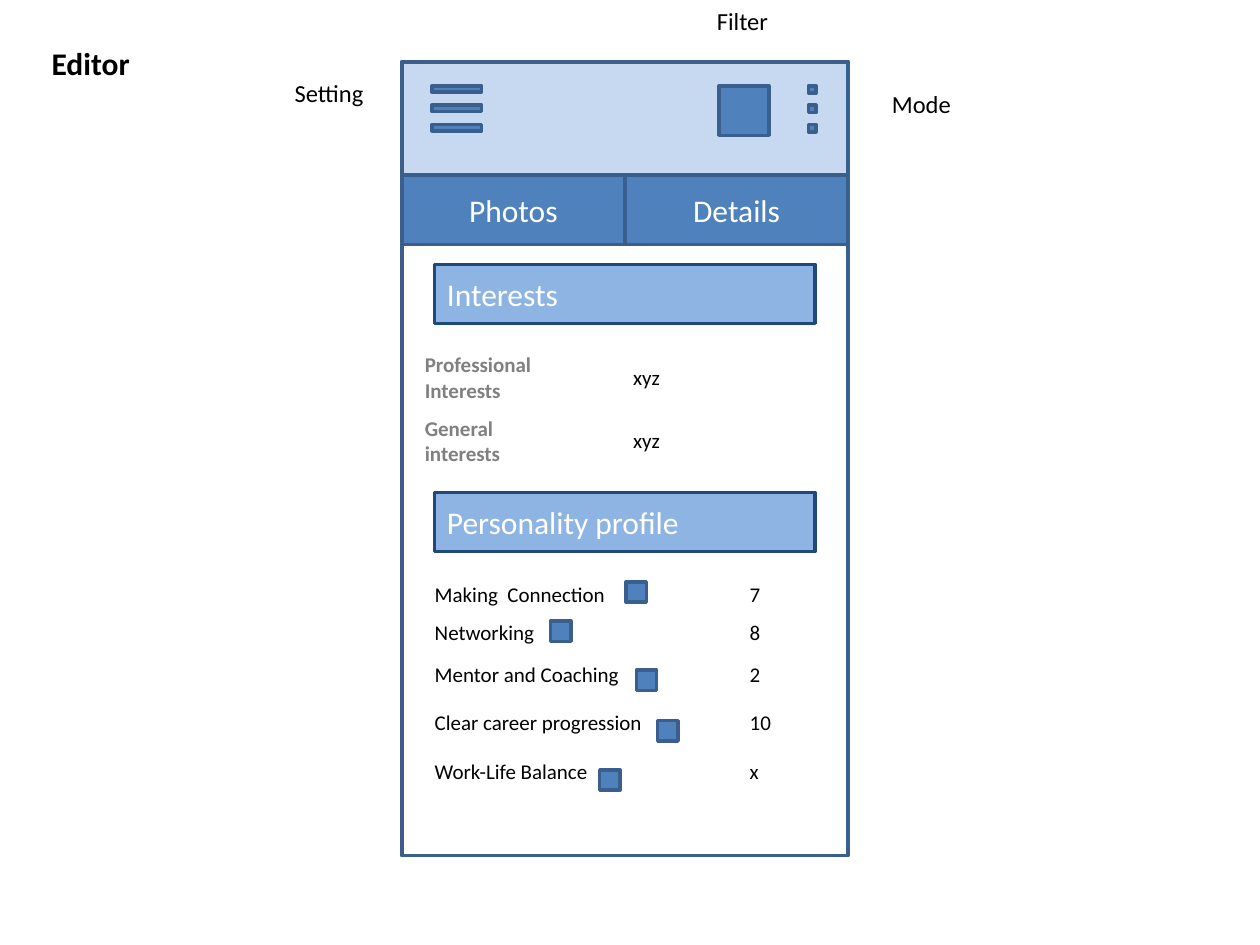
"""Build the profile editor wireframe slide."""
import pptx
import pptx.dml.color
import pptx.enum.shapes
import pptx.enum.text
import pptx.util

Cm = pptx.util.Cm
Pt = pptx.util.Pt
RGBColor = pptx.dml.color.RGBColor
ALIGN = pptx.enum.text.PP_ALIGN
MIDDLE = pptx.enum.text.MSO_ANCHOR.MIDDLE

WHITE = RGBColor(0xFF, 0xFF, 0xFF)
BLACK = RGBColor(0x00, 0x00, 0x00)
GRAY = RGBColor(0x80, 0x80, 0x80)
BLUE = RGBColor(0x4F, 0x81, 0xBD)
EDGE = RGBColor(0x3A, 0x5F, 0x8C)
PALE = RGBColor(0xC6, 0xD9, 0xF1)
SKY = RGBColor(0x8E, 0xB4, 0xE3)
NAVY = RGBColor(0x1F, 0x49, 0x7D)


def write(frame, text, size=12, color=BLACK, bold=False, align=ALIGN.LEFT):
    frame.word_wrap = True
    frame.text = text
    for para in frame.paragraphs:
        para.alignment = align
        font = para.runs[0].font
        font.name = "Calibri"
        font.size = Pt(size)
        font.bold = bold
        font.color.rgb = color


class Sketch:
    def __init__(self, slide, line=2):
        self.shapes = slide.shapes
        self.line = line

    def box(self, left, top, width, height, fill=BLUE, edge=EDGE, text="", **style):
        kind = pptx.enum.shapes.MSO_SHAPE.RECTANGLE
        shape = self.shapes.add_shape(kind, Cm(left), Cm(top), Cm(width), Cm(height))
        shape.shadow.inherit = False
        shape.fill.solid()
        shape.fill.fore_color.rgb = fill
        shape.line.color.rgb = edge
        shape.line.width = Pt(self.line)
        if text:
            shape.text_frame.vertical_anchor = MIDDLE
            write(shape.text_frame, text, size=18, color=WHITE, **style)

    def label(self, text, left, top, width=1.98, height=0.86, **style):
        frame = self.shapes.add_textbox(Cm(left), Cm(top), Cm(width), Cm(height)).text_frame
        write(frame, text, **style)
        frame.auto_size = pptx.enum.text.MSO_AUTO_SIZE.SHAPE_TO_FIT_TEXT

    def table(self, left, top, widths, heights, rows, **head):
        table = self.shapes.add_table(
            len(rows), len(widths), Cm(left), Cm(top), Cm(sum(widths)), Cm(sum(heights))
        ).table
        table.first_row = table.horz_banding = False
        for col, width in zip(table.columns, widths):
            col.width = Cm(width)
        for row, height, texts in zip(table.rows, heights, rows):
            row.height = Cm(height)
            for cell, text, style in zip(row.cells, texts, (head, {})):
                cell.fill.background()
                cell.vertical_anchor = MIDDLE
                write(cell.text_frame, text, **style)


def main():
    deck = pptx.Presentation()
    deck.slide_width, deck.slide_height = Cm(25.4), Cm(19.05)
    sketch = Sketch(deck.slides.add_slide(deck.slide_layouts[6]))

    left, top, width = 8.1, 1.25, 9
    sketch.box(left, top, width, 16, fill=WHITE)
    sketch.box(left, top, width, 3.68, fill=PALE)
    for step in range(3):
        row = 1.73 + step * 0.39
        sketch.box(8.71, row, 1, 0.13)
        sketch.box(16.3, row, 0.15, 0.15)
    sketch.box(14.5, 1.73, 1, 1)
    for step, name in enumerate(("Photos", "Details")):
        sketch.box(left + step * width / 2, 3.53, width / 2, 1.4,
                   text=name, align=ALIGN.CENTER)

    sketch.label("Editor", 0.79, 0.76, 3.61, 1.02, size=18, bold=True)
    for name, x, y in (("Mode", 17.73, 1.68), ("Filter", 14.2, 0), ("Setting", 5.69, 1.45)):
        sketch.label(name, x, y, size=14)

    for name, y in (("Interests", 5.33), ("Personality profile", 9.93)):
        sketch.box(8.76, y, 7.67, 1.19, fill=SKY, edge=NAVY, text=name)

    sketch.table(8.31, 6.99, (4.2, 4.4), (1.07, 1.22),
                 (("Professional Interests", "xyz"), ("General\ninterests", "xyz")),
                 color=GRAY, bold=True)
    traits = (
        ("Making  Connection", "7"),
        ("Networking", "8"),
        ("Mentor and Coaching", "2"),
        ("Clear career progression", "10"),
        ("Work-Life Balance", "x"),
    )
    sketch.table(8.51, 11.61, (6.35, 1.52), (0.69, 0.48, 0.97, 0.97, 0.97), traits)
    marks = ((12.62, 11.73), (11.1, 12.52), (12.83, 13.51), (13.26, 14.53), (12.09, 15.52))
    for x, y in marks:
        sketch.box(x, y, 0.41, 0.41)

    deck.save("out.pptx")


if __name__ == "__main__":
    main()
